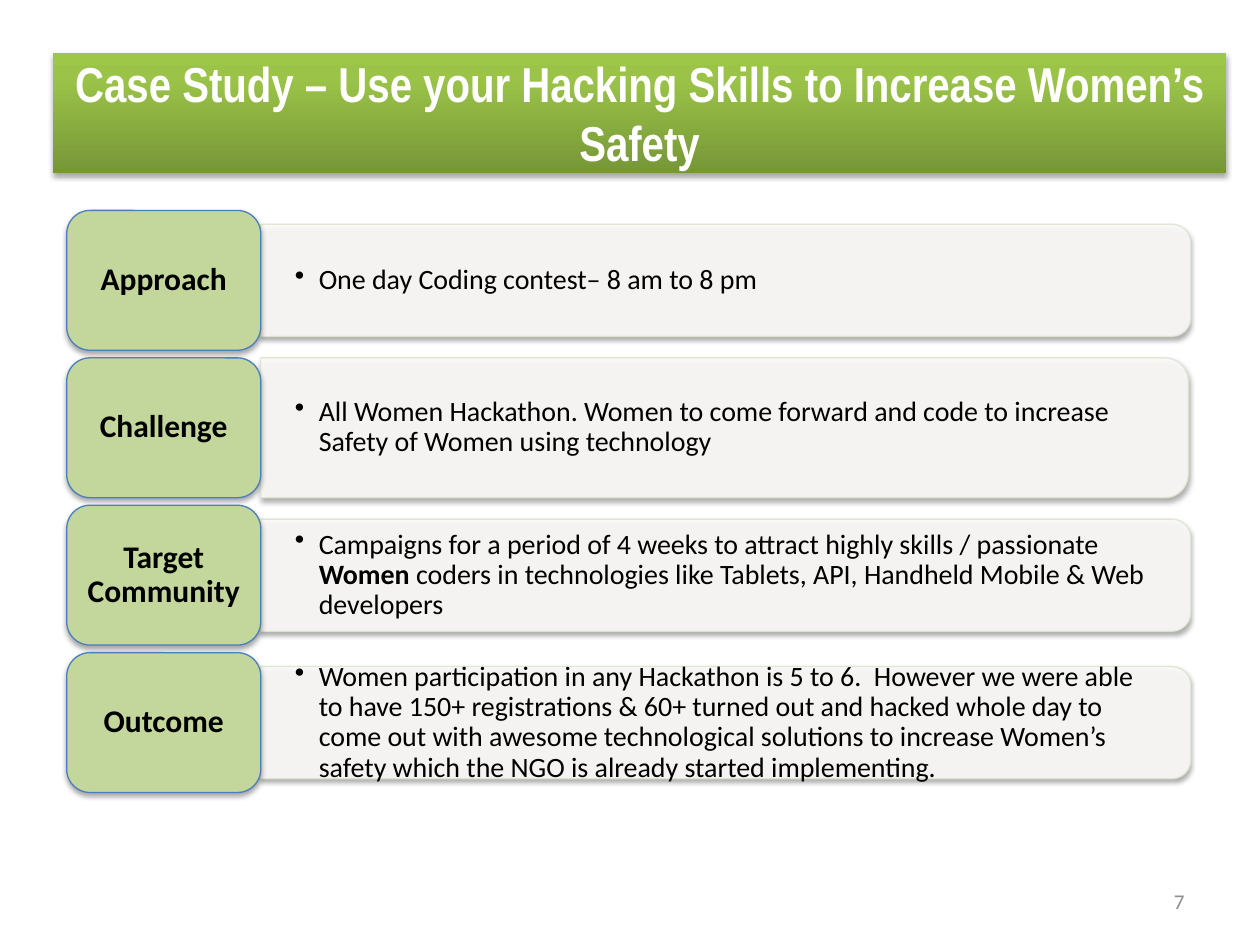
from copy import deepcopy

from pptx import Presentation
from pptx.dml.color import RGBColor
from pptx.enum.shapes import MSO_SHAPE as Shape
from pptx.enum.text import MSO_ANCHOR as Anchor, MSO_AUTO_SIZE as AutoSize, PP_ALIGN as Align
from pptx.oxml import parse_xml
from pptx.oxml.ns import nsdecls, qn
from pptx.util import Inches, Pt

COLORS = {
    "banner_dark": "779737", "banner_mid": "9BC348", "banner_light": "9DC746",
    "label": "C3D69B", "label_line": "4B7EBC",
    "bar": "FCFBF9", "bar_line": "DEE7D1",
    "white": "FFFFFF", "black": "000000", "number": "8C8C8C",
}


def rgb(name):
    return RGBColor.from_string(COLORS[name])


def write(frame, runs, size, color="black", font="Calibri", bold=False,
          align=Align.LEFT, spacing=None, bullet=False, insets=(0.1, 0.05)):
    """Fill a frame with one paragraph made of (text, bold) runs or a string."""
    frame.word_wrap = True
    frame.auto_size = AutoSize.NONE
    frame.vertical_anchor = Anchor.MIDDLE
    frame.margin_left = frame.margin_right = Inches(insets[0])
    frame.margin_top = frame.margin_bottom = Inches(insets[1])
    paragraph = frame.paragraphs[0]
    paragraph.alignment = align
    if spacing:
        paragraph.line_spacing = spacing
    if bullet:
        paragraph.level = 1
        properties = paragraph._p.get_or_add_pPr()
        properties.set("marL", str(Inches(0.19)))
        properties.set("indent", str(-Inches(0.19)))
        properties.append(parse_xml(f'<a:buChar {nsdecls("a")} char="•"/>'))
    for text, strong in [(runs, bold)] if isinstance(runs, str) else runs:
        run = paragraph.add_run()
        run.text = text
        run.font.name, run.font.size, run.font.bold = font, Pt(size), strong
        run.font.color.rgb = rgb(color)


class CaseStudySlide:
    def __init__(self, deck):
        self.slide = deck.slides.add_slide(deck.slide_layouts[5])

    def shadow(self, shape):
        shape.shadow.inherit = False
        effects = shape._element.spPr.find(qn("a:effectLst"))
        effects.append(parse_xml(
            f'<a:outerShdw {nsdecls("a")} blurRad="{Pt(3.1)}" dist="{Pt(1.8)}" '
            'dir="5400000" rotWithShape="0"><a:srgbClr val="000000">'
            '<a:alpha val="35000"/></a:srgbClr></a:outerShdw>'))

    def paint(self, shape, fill, line, opacity=None):
        shape.fill.solid()
        shape.fill.fore_color.rgb = rgb(fill)
        shape.line.color.rgb = rgb(line)
        shape.line.width = Pt(0.75)
        if opacity:
            for color in shape._element.spPr.iter(qn("a:srgbClr")):
                color.append(parse_xml(f'<a:alpha {nsdecls("a")} val="{opacity * 1000}"/>'))
        self.shadow(shape)

    def banner(self, text, left, top, width, height):
        title = self.slide.shapes.title
        title.left, title.top = Inches(left), Inches(top)
        title.width, title.height = Inches(width), Inches(height)
        title.fill.gradient()
        title.fill.gradient_angle = 90
        dark, light = title.fill.gradient_stops
        dark.color.rgb, light.color.rgb = rgb("banner_dark"), rgb("banner_light")
        # Third stop between the two ends
        stops = title._element.spPr.find(qn("a:gradFill")).find(qn("a:gsLst"))
        stops.insert(1, deepcopy(stops[1]))
        middle = title.fill.gradient_stops[1]
        middle.position, middle.color.rgb = 0.8, rgb("banner_mid")
        self.shadow(title)
        write(title.text_frame, text, 28, color="white", font="Arial Narrow",
              bold=True, align=Align.CENTER)

    def bar(self, left, middle, width, height):
        """Bar rounded on its right side: a top-rounded shape turned by 90 degrees."""
        shape = self.slide.shapes.add_shape(
            Shape.ROUND_2_SAME_RECTANGLE,
            Inches(left + (width - height) / 2), Inches(middle - width / 2),
            Inches(height), Inches(width))
        shape.rotation = 90
        self.paint(shape, "bar", "bar_line", opacity=90)

    def label(self, text, left, top, width, height):
        shape = self.slide.shapes.add_shape(
            Shape.ROUNDED_RECTANGLE, Inches(left), Inches(top), Inches(width), Inches(height))
        self.paint(shape, "label", "label_line")
        write(shape.text_frame, text, 18, bold=True, align=Align.CENTER,
              spacing=0.9, insets=(0.07, 0.04))

    def text(self, runs, left, top, width, height, **style):
        box = self.slide.shapes.add_textbox(
            Inches(left), Inches(top), Inches(width), Inches(height))
        write(box.text_frame, runs, **style)


# Label, description, bar width, bar height
ROWS = [
    ("Approach", "One day Coding contest– 8 am to 8 pm", 7.38, 0.89),
    ("Challenge", "All Women Hackathon. Women to come forward and code to increase "
     "Safety of Women using technology", 7.36, 1.11),
    ("Target Community",
     [("Campaigns for a period of 4 weeks to attract highly skills / passionate ", False),
      ("Women", True),
      (" coders in technologies like Tablets, API, Handheld Mobile & Web developers", False)],
     7.38, 0.89),
    ("Outcome", "Women participation in any Hackathon is 5 to 6.  However we were able "
     "to have 150+ registrations & 60+ turned out and hacked whole day to come out with "
     "awesome technological solutions to increase Women’s safety which the NGO is already "
     "started implementing.", 7.38, 0.89),
]
LABEL_LEFT, LABEL_WIDTH, LABEL_HEIGHT = 0.53, 1.54, 1.11
FIRST_TOP, ROW_PITCH = 1.67, 1.17
BAR_LEFT = LABEL_LEFT + LABEL_WIDTH


def main():
    deck = Presentation()
    deck.slide_width, deck.slide_height = Inches(10), Inches(7.5)
    page = CaseStudySlide(deck)

    # Title banner
    page.banner("Case Study – Use your Hacking Skills to Increase Women’s Safety",
                0.42, 0.42, 9.31, 0.95)

    # Rows: bar, description, label
    for index, (name, description, width, height) in enumerate(ROWS):
        top = FIRST_TOP + index * ROW_PITCH
        middle = top + LABEL_HEIGHT / 2
        page.bar(BAR_LEFT, middle, width, height)
        page.text(description, BAR_LEFT, middle - height * 0.45, width - 0.05, height * 0.9,
                  size=16, spacing=0.9, bullet=True, insets=(0.27, 0.14))
        page.label(name, LABEL_LEFT, top, LABEL_WIDTH, LABEL_HEIGHT)

    # Page number
    page.text("7", 7.17, 6.95, 2.33, 0.4, size=12, color="number", align=Align.RIGHT)

    deck.save("out.pptx")


if __name__ == "__main__":
    main()
